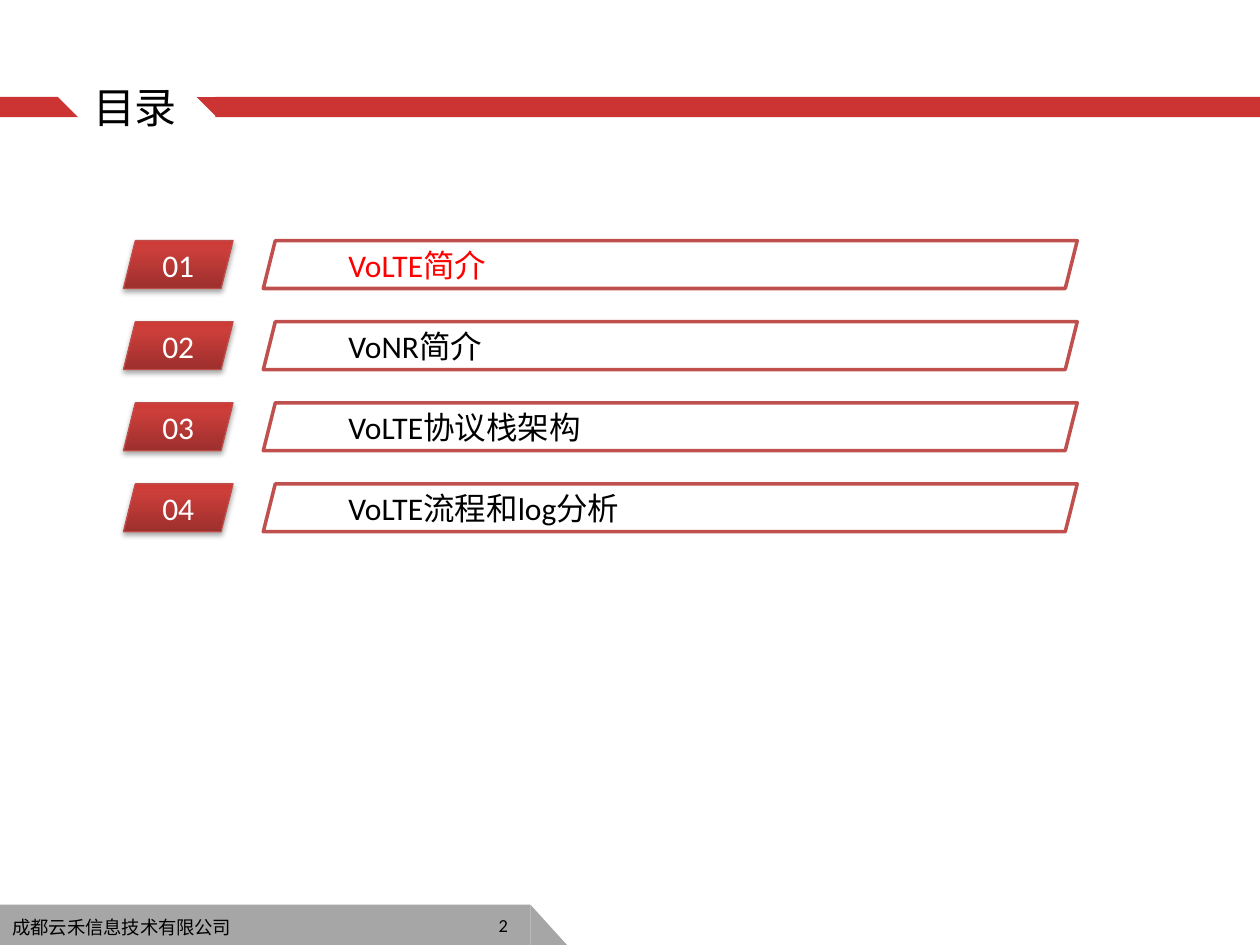
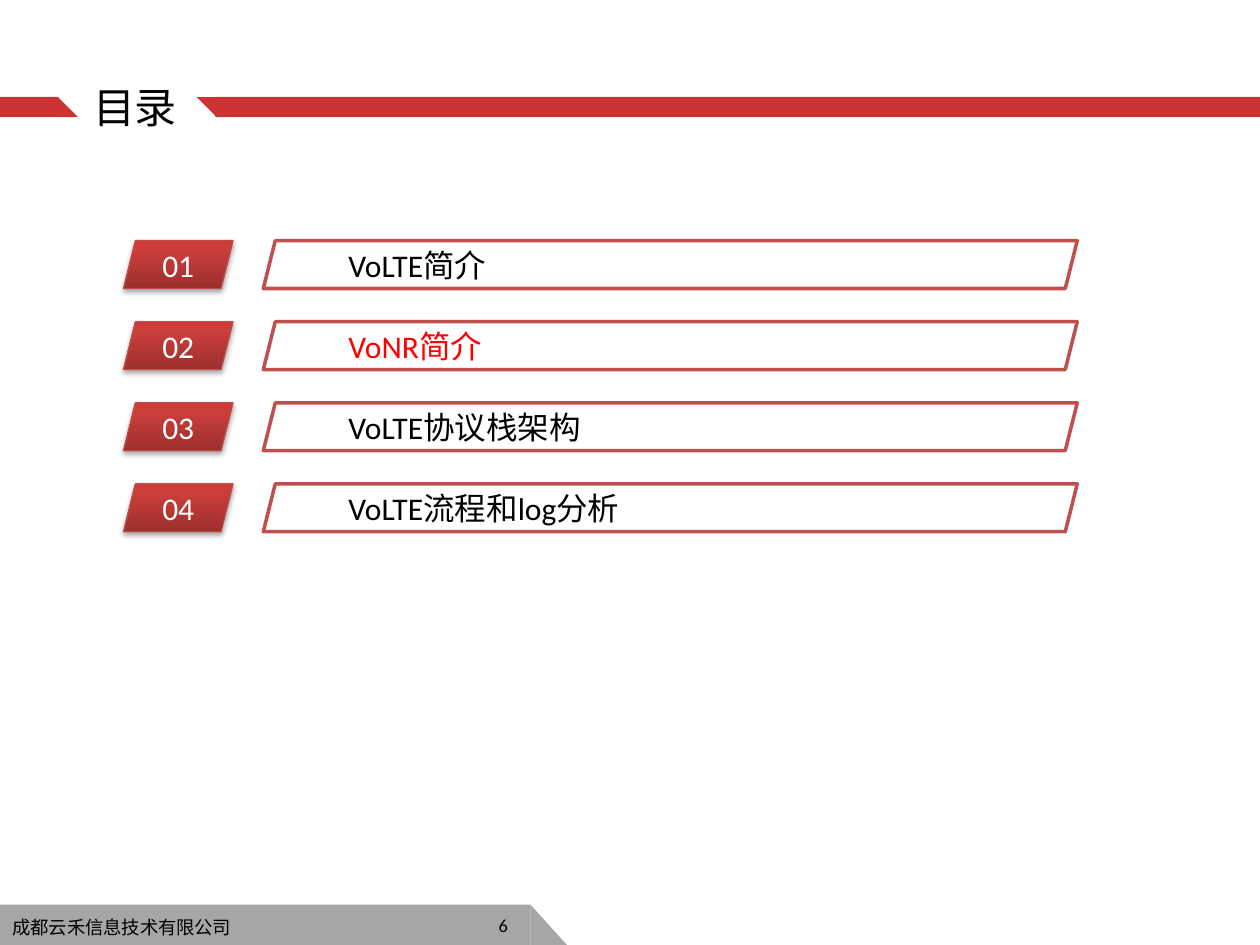
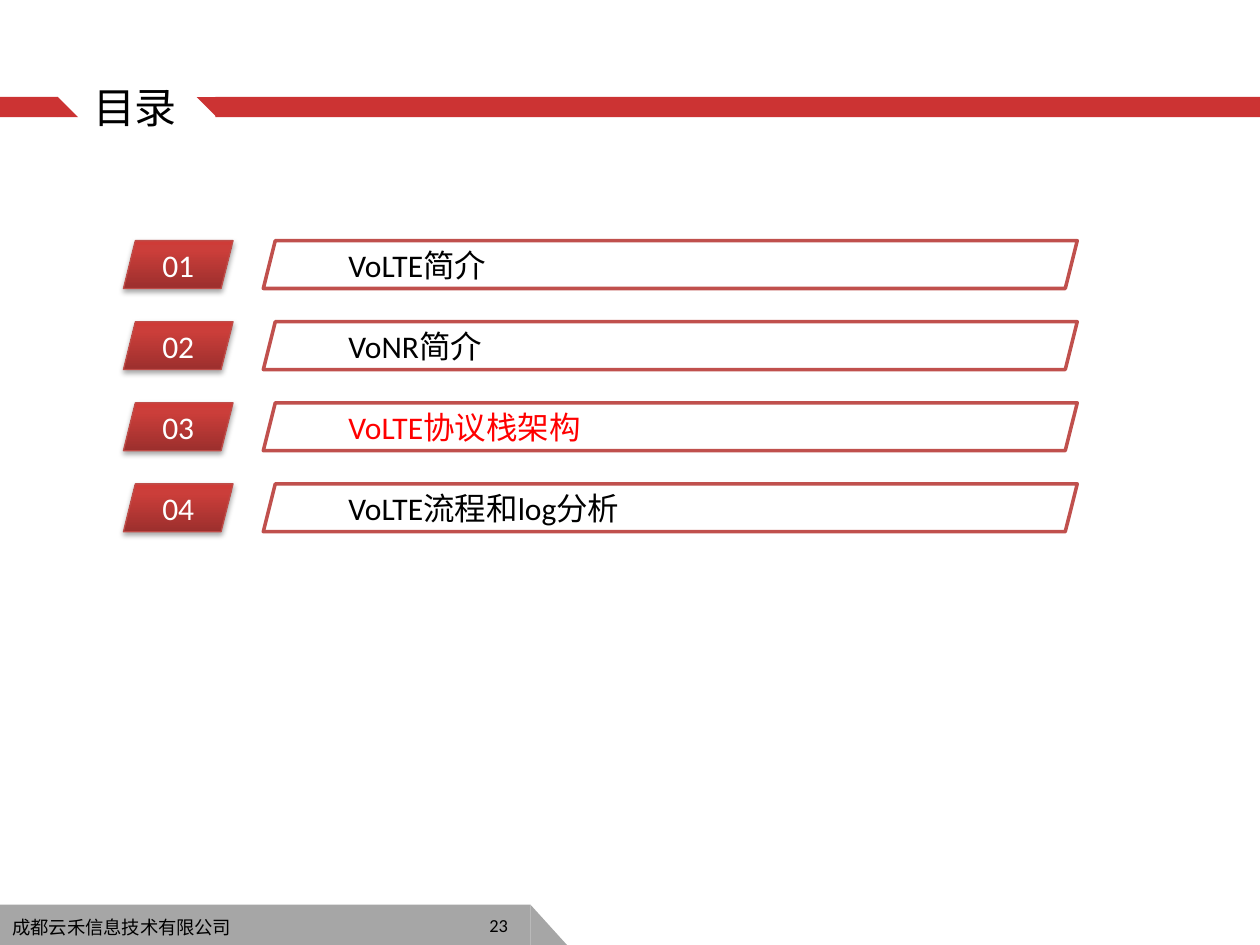
from copy import deepcopy
from dataclasses import dataclass

from pptx import Presentation
from pptx.dml.color import RGBColor
from pptx.enum.shapes import MSO_SHAPE
from pptx.enum.text import MSO_ANCHOR, PP_ALIGN
from pptx.oxml import parse_xml
from pptx.oxml.ns import nsdecls, qn
from pptx.util import Inches, Pt

SLIDE_WIDTH, SLIDE_HEIGHT = Inches(10), Inches(7.5)
COLUMNS, ROWS = 100, 75
TITLE = "目录"
COMPANY = "成都云禾信息技术有限公司"
CHAPTERS = ["VoLTE简介", "VoNR简介", "VoLTE协议栈架构", "VoLTE流程和log分析"]
PAGES = [(2, 0), (6, 1), (23, 2)]


@dataclass(frozen=True)
class Theme:
    """Colours, fonts and type sizes of the deck."""
    band: str = "CC3333"
    footer: str = "A6A6A6"
    text: str = "000000"
    highlight: str = "FF0000"
    white: str = "FFFFFF"
    bar_line: str = "C0504D"
    badge_line: str = "BF4C48"
    badge_stops: tuple = ((0, "9C2F2D"), (0.8, "CB3E3A"), (1, "CE3B37"))
    latin_font: str = "Calibri"
    chinese_font: str = "Noto Sans CJK SC"
    title_size: float = 24
    chapter_size: float = 18
    footer_size: float = 10.5


@dataclass(frozen=True)
class Box:
    """An area measured in columns and rows of the slide grid."""
    left: float
    top: float
    width: float
    height: float

    def area(self, left, top, width, height):
        """Return an area whose corner is offset from this one."""
        return Box(self.left + left, self.top + top, width, height)

    def lengths(self):
        """Return left, top, width and height as slide lengths."""
        column, row = SLIDE_WIDTH / COLUMNS, SLIDE_HEIGHT / ROWS
        return (round(self.left * column), round(self.top * row),
                round(self.width * column), round(self.height * row))


THEME = Theme()
HEADER_BOX = Box(0, 6, 100, 5)
CHAPTERS_BOX = Box(9.8, 19.1, 75.7, 23.1)
FOOTER_BOX = Box(0, 71.8, 45, 3.2)


def write_text(shape, text, size, color, align=PP_ALIGN.LEFT):
    """Put one vertically centred line of text into a shape."""
    frame = shape.text_frame
    frame.text = text
    frame.word_wrap = True
    frame.vertical_anchor = MSO_ANCHOR.MIDDLE
    paragraph = frame.paragraphs[0]
    paragraph.alignment = align
    font = paragraph.runs[0].font
    font.size = Pt(size)
    font.name = THEME.latin_font
    font.color.rgb = RGBColor.from_string(color)
    east_asian = parse_xml(f'<a:ea {nsdecls("a")} typeface="{THEME.chinese_font}"/>')
    paragraph.runs[0]._r.rPr.find(qn("a:latin")).addnext(east_asian)


def add_label(slide, box, text, size, align=PP_ALIGN.LEFT):
    """Add a text box in the plain text colour."""
    write_text(slide.shapes.add_textbox(*box.lengths()), text, size, THEME.text, align)


def add_outline(slide, kind, box, fill=None, line=None, line_width=0.75):
    """Add a preset shape without shadow, with an optional fill and line."""
    shape = slide.shapes.add_shape(kind, *box.lengths())
    shape.shadow.inherit = False
    if fill:
        shape.fill.solid()
        shape.fill.fore_color.rgb = RGBColor.from_string(fill)
    if line:
        shape.line.color.rgb = RGBColor.from_string(line)
        shape.line.width = Pt(line_width)
    else:
        shape.line.fill.background()
    return shape


def shade_badge(shape):
    """Give a badge its red gradient and soft shadow."""
    shape.fill.gradient()
    shape.fill.gradient_angle = 90
    properties = shape._element.spPr
    stop_list = properties.find(f".//{qn('a:gsLst')}")
    stop_list.append(deepcopy(stop_list[-1]))
    for stop, (position, color) in zip(shape.fill.gradient_stops, THEME.badge_stops):
        stop.position = position
        stop.color.rgb = RGBColor.from_string(color)
    properties.find(qn("a:effectLst")).append(parse_xml(
        f'<a:outerShdw {nsdecls("a")} blurRad="{Pt(3.1)}" dist="{Pt(1.8)}" '
        'dir="5400000" rotWithShape="0"><a:srgbClr val="000000">'
        '<a:alpha val="35000"/></a:srgbClr></a:outerShdw>'))


def add_header(slide, box):
    """Draw the split red band with the title in its gap."""
    band_top, band_height = 1.7, 1.6
    for left, width in ((-0.1, 4.7), (17.1, 82.9)):
        add_outline(slide, MSO_SHAPE.RECTANGLE,
                    box.area(left, band_top, width, band_height), THEME.band)
    for left, rotation in ((4.6, 0), (15.6, 180)):
        tip = add_outline(slide, MSO_SHAPE.RIGHT_TRIANGLE,
                          box.area(left, band_top, band_height, band_height), THEME.band)
        tip.rotation = rotation
    add_label(slide, box.area(6.4, 0, 15, box.height), TITLE, THEME.title_size)


def add_chapters(slide, box, current):
    """List the numbered chapters and highlight the current one."""
    row_height = 3.8
    pitch = (box.height - row_height) / (len(CHAPTERS) - 1)
    badge_width, bar_left = 8.7, 11.1
    for index, chapter in enumerate(CHAPTERS):
        top = index * pitch
        bar = add_outline(slide, MSO_SHAPE.PARALLELOGRAM,
                          box.area(bar_left, top, box.width - bar_left, row_height),
                          THEME.white, THEME.bar_line, 2)
        write_text(bar, chapter, THEME.chapter_size,
                   THEME.highlight if index == current else THEME.text)
        badge = add_outline(slide, MSO_SHAPE.PARALLELOGRAM,
                            box.area(0, top, badge_width, row_height),
                            line=THEME.badge_line)
        shade_badge(badge)
        write_text(badge, f"{index + 1:02}", THEME.chapter_size, THEME.white,
                   PP_ALIGN.CENTER)


def add_footer(slide, box, page):
    """Draw the grey footer with the company name and page number."""
    bar_width, tip_width, text_width = 42.1, 2.9, 41.3
    add_outline(slide, MSO_SHAPE.RECTANGLE,
                box.area(-0.1, 0, bar_width + 0.1, box.height), THEME.footer)
    add_outline(slide, MSO_SHAPE.RIGHT_TRIANGLE,
                box.area(bar_width, 0, tip_width, box.height), THEME.footer)
    add_label(slide, box.area(0, 0.4, text_width, 2.8), COMPANY, THEME.footer_size)
    add_label(slide, box.area(18, -0.4, text_width - 18, 4), str(page),
              THEME.footer_size, PP_ALIGN.RIGHT)


def add_contents_slide(presentation, page, current):
    """Add one contents slide with its header, chapters and footer."""
    slide = presentation.slides.add_slide(presentation.slide_layouts[6])
    add_footer(slide, FOOTER_BOX, page)
    add_header(slide, HEADER_BOX)
    add_chapters(slide, CHAPTERS_BOX, current)


def main():
    """Build and save the deck."""
    presentation = Presentation()
    presentation.slide_width, presentation.slide_height = SLIDE_WIDTH, SLIDE_HEIGHT
    for page, current in PAGES:
        add_contents_slide(presentation, page, current)
    presentation.save("out.pptx")


if __name__ == "__main__":
    main()
